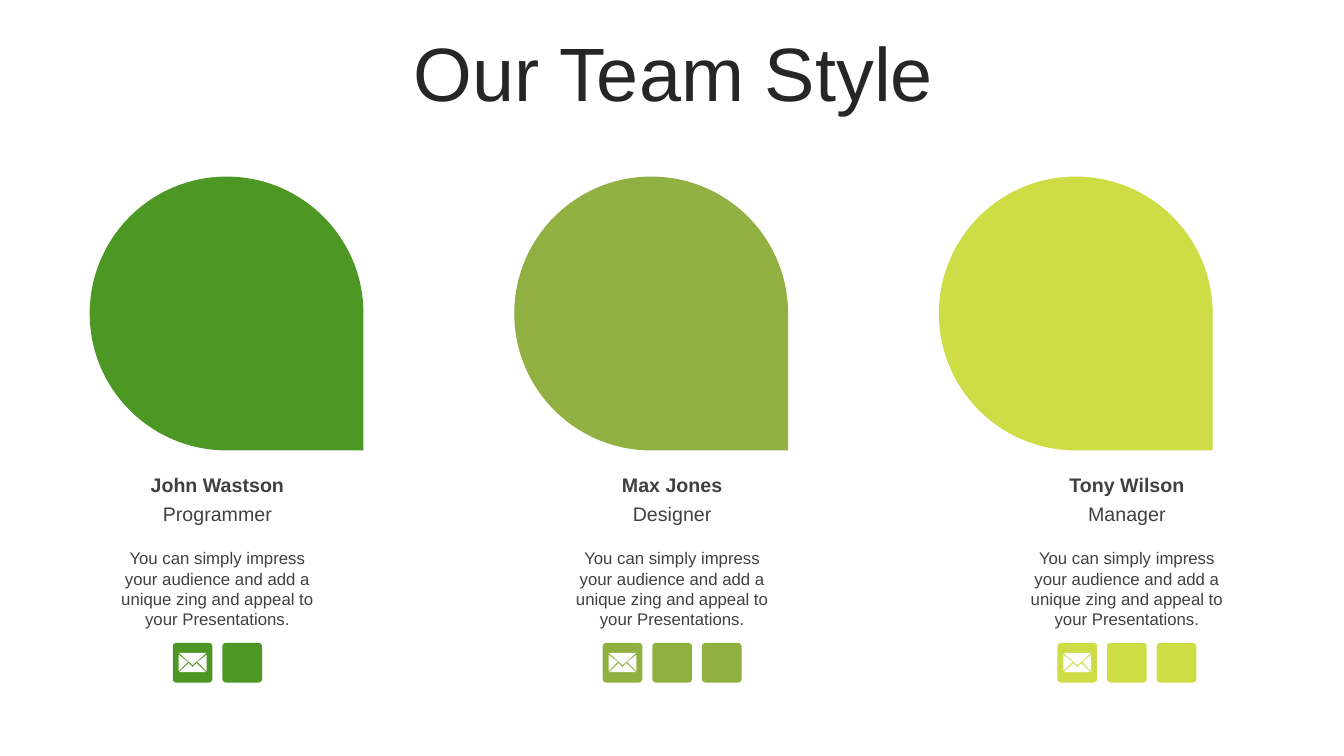
from dataclasses import dataclass

from pptx import Presentation
from pptx.dml.color import RGBColor
from pptx.enum.shapes import MSO_SHAPE
from pptx.enum.text import MSO_ANCHOR, MSO_AUTO_SIZE, PP_ALIGN
from pptx.util import Cm, Pt

TEARDROP = MSO_SHAPE.TEAR
ROUNDED = MSO_SHAPE.ROUNDED_RECTANGLE
MIDDLE, TOP = MSO_ANCHOR.MIDDLE, MSO_ANCHOR.TOP
CENTER = PP_ALIGN.CENTER
NO_FIT = MSO_AUTO_SIZE.NONE
TITLE_ONLY = 5


@dataclass(frozen=True)
class Theme:
    """Colours and type sizes of the slide."""
    font: str = "Arial"
    title_ink: str = "262626"
    body_ink: str = "404040"
    paper: str = "FFFFFF"
    title_size: int = 54
    name_size: int = 14
    bio_size: int = 12


THEME = Theme()
BIO = ("You can simply impress your audience and add a unique zing "
       "and appeal to your Presentations.")
TEAM = [
    ("John Wastson", "Programmer", "4D9724", 2),
    ("Max Jones", "Designer", "90B141", 3),
    ("Tony Wilson", "Manager", "CEDD46", 3),
]
PORTRAIT_LEFT, PORTRAIT_PITCH = 2.26, 10.7
PROFILE_LEFT, PROFILE_PITCH = 2.62, 11.46
TILE, TILE_PITCH = 1, 1.25
ENVELOPE_PERCENT = [
    [(15, 25), (50, 56), (85, 25)],
    [(15, 30), (15, 71), (38, 48)],
    [(85, 30), (62, 48), (85, 71)],
    [(60, 51), (50, 61), (40, 51), (16, 74), (84, 74)],
]


def paint(shape, colour):
    """Give a shape a flat fill with no outline or shadow."""
    shape.shadow.inherit = False
    shape.fill.solid()
    shape.fill.fore_color.rgb = RGBColor.from_string(colour)
    shape.line.fill.background()


def write(shape, text, size, ink, anchor=MIDDLE, bold=False, spacing=1.0):
    """Fill a shape with one centred paragraph."""
    frame = shape.text_frame
    frame.text = text
    paragraph = frame.paragraphs[0]
    formats = [
        (frame, {"word_wrap": True, "auto_size": NO_FIT, "vertical_anchor": anchor}),
        (paragraph, {"alignment": CENTER, "line_spacing": spacing, "space_before": Pt(0)}),
        (paragraph.runs[0].font, {"name": THEME.font, "size": Pt(size), "bold": bold}),
    ]
    for target, values in formats:
        for attribute, value in values.items():
            setattr(target, attribute, value)
    paragraph.runs[0].font.color.rgb = RGBColor.from_string(ink)


def add_title(slide, left, top, width, height):
    """Place and format the slide title."""
    title = slide.shapes.title
    title.left, title.top, title.width, title.height = map(Cm, (left, top, width, height))
    write(title, "Our Team Style", THEME.title_size, THEME.title_ink, spacing=0.9)


def add_portrait(slide, left, top, size, colour):
    """Draw the teardrop with its point at the lower right."""
    portrait = slide.shapes.add_shape(TEARDROP, Cm(left), Cm(top), Cm(size), Cm(size))
    portrait.rotation = 90
    paint(portrait, colour)


def add_envelope(slide, left, top, size):
    """Draw the envelope inside a square tile."""
    first, *others = ENVELOPE_PERCENT
    builder = slide.shapes.build_freeform(*first[0], scale=Cm(size / 100))
    builder.add_line_segments(first[1:])
    for fold in others:
        builder.move_to(*fold[0])
        builder.add_line_segments(fold[1:])
    paint(builder.convert_to_shape(Cm(left), Cm(top)), THEME.paper)


def add_contacts(slide, left, top, width, count, colour):
    """Centre a row of contact tiles, the first one for mail."""
    start = left + (width - TILE - (count - 1) * TILE_PITCH) / 2
    for index in range(count):
        tile = slide.shapes.add_shape(
            ROUNDED, Cm(start + index * TILE_PITCH), Cm(top), Cm(TILE), Cm(TILE))
        tile.adjustments[0] = 0.09
        paint(tile, colour)
    add_envelope(slide, start, top, TILE)


def add_profile(slide, left, top, width, name, role, colour, contacts):
    """Stack name, role, biography and contact tiles."""
    lines = [
        (name, 0, 0.69, THEME.name_size, MIDDLE, True),
        (role, 0.74, 0.69, THEME.name_size, MIDDLE, False),
        (BIO, 1.83, 2.31, THEME.bio_size, TOP, False),
    ]
    for text, offset, height, size, anchor, bold in lines:
        box = slide.shapes.add_textbox(Cm(left), Cm(top + offset), Cm(width), Cm(height))
        write(box, text, size, THEME.body_ink, anchor, bold)
    add_contacts(slide, left, top + 4.34, width, contacts, colour)


def main():
    """Build the team slide and save it."""
    deck = Presentation()
    deck.slide_width, deck.slide_height = Cm(33.87), Cm(19.05)
    slide = deck.slides.add_slide(deck.slide_layouts[TITLE_ONLY])
    add_title(slide, 0.89, 0.94, 32.16, 2.01)
    for index, (name, role, colour, contacts) in enumerate(TEAM):
        add_portrait(slide, PORTRAIT_LEFT + index * PORTRAIT_PITCH, 4.45, 6.9, colour)
        add_profile(slide, PROFILE_LEFT + index * PROFILE_PITCH, 11.86, 5.72,
                    name, role, colour, contacts)
    deck.save("out.pptx")


if __name__ == "__main__":
    main()
